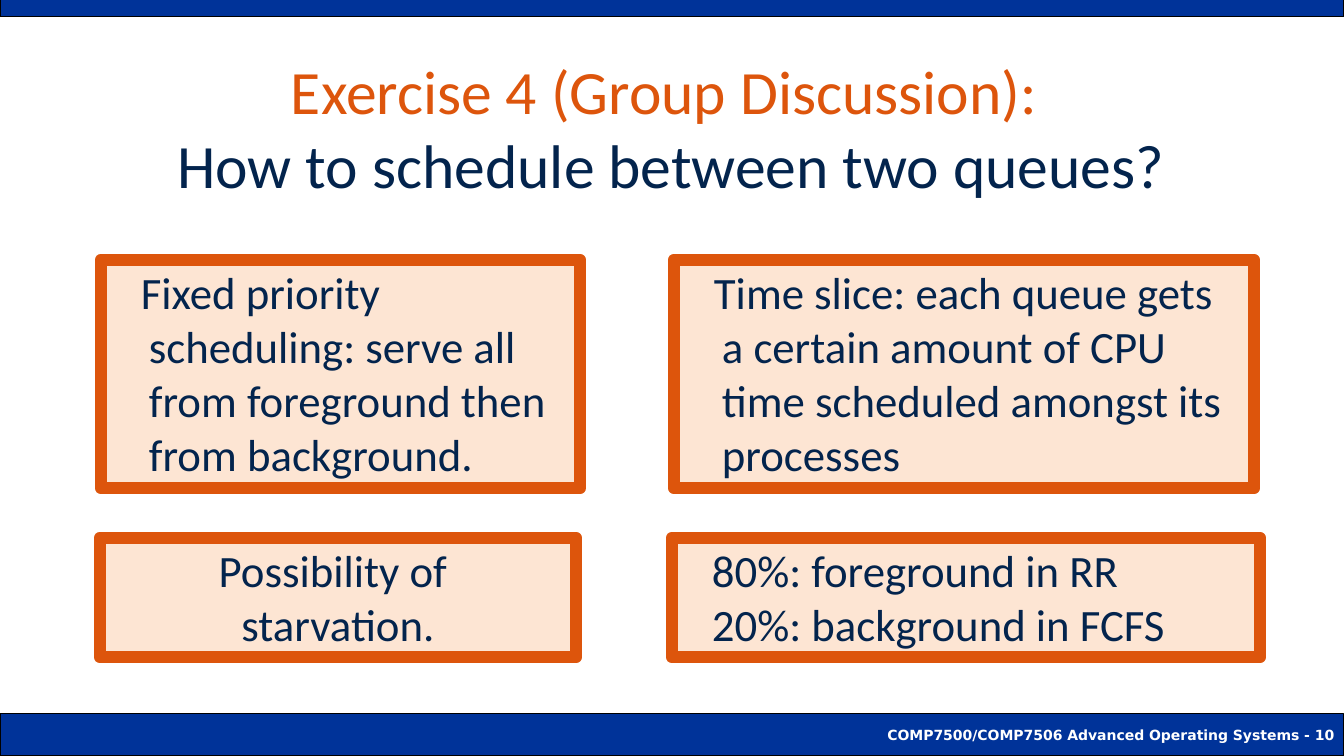
from pptx import Presentation
from pptx import util as u
from pptx.dml.color import RGBColor
from pptx.enum import shapes, text
from pptx.oxml.ns import qn
from lxml import etree

BLUE = RGBColor(0x00, 0x33, 0x99)
NAVY = RGBColor(0x03, 0x24, 0x4D)
ORANGE = RGBColor(0xDD, 0x55, 0x0C)
TINT = RGBColor(0xF6, 0x80, 0x26)
BLACK = RGBColor(0x00, 0x00, 0x00)
WHITE = RGBColor(0xFF, 0xFF, 0xFF)

W, H = 1344, 756
EMU_PER_PX = 12192000 / W


def px(n):
    return u.Emu(round(n * EMU_PER_PX))


class Deck:
    font = "Calibri"
    footer_font = "DejaVu Sans"

    def __init__(self):
        self.prs = Presentation()
        self.prs.slide_width, self.prs.slide_height = px(W), px(H)
        self.s = self.prs.slides.add_slide(self.prs.slide_layouts[6])

    def style(self, p, size, color, name=None, bold=False):
        f = p.font
        f.name, f.size, f.bold = name or self.font, u.Pt(size), bold
        f.color.rgb = color

    def rect(self, x, y, w, h, fill, line, line_pt):
        sp = self.s.shapes.add_shape(
            shapes.MSO_SHAPE.RECTANGLE, px(x), px(y), px(w), px(h))
        sp.shadow.inherit = False
        sp.fill.solid()
        sp.fill.fore_color.rgb = fill
        sp.line.color.rgb = line
        sp.line.width = u.Pt(line_pt)
        return sp

    def bar(self, y, h, label=None):
        sp = self.rect(0, y, W, h, BLUE, BLACK, 0.75)
        if label:
            tf = sp.text_frame
            tf.word_wrap = False
            tf.vertical_anchor = text.MSO_ANCHOR.MIDDLE
            p = tf.paragraphs[0]
            p.text = label
            p.alignment = text.PP_ALIGN.RIGHT
            self.style(p, 10, WHITE, self.footer_font, True)

    def title(self, x, y, w, h, lines):
        tf = self.s.shapes.add_textbox(px(x), px(y), px(w), px(h)).text_frame
        tf.word_wrap = True
        tf.vertical_anchor = text.MSO_ANCHOR.MIDDLE
        p = tf.paragraphs[0]
        p.alignment = text.PP_ALIGN.CENTER
        self.style(p, 44, NAVY)
        for i, (line, color) in enumerate(lines):
            if i:
                p.add_line_break()
            r = p.add_run()
            r.text = line
            r.font.color.rgb = color

    def box(self, x, y, w, h, lines, indent=-8, align=text.PP_ALIGN.LEFT):
        sp = self.rect(x, y, w, h, TINT, ORANGE, 9)
        # Fill at 20% opacity
        clr = sp.fill._xPr.find(qn("a:solidFill"))[0]
        etree.SubElement(clr, qn("a:alpha")).set("val", "20000")
        tf = sp.text_frame
        tf.word_wrap = True
        tf.auto_size = text.MSO_AUTO_SIZE.SHAPE_TO_FIT_TEXT
        tf.vertical_anchor = text.MSO_ANCHOR.TOP
        for i, line in enumerate(lines):
            p = tf.add_paragraph() if i else tf.paragraphs[0]
            p.text = line
            p.alignment = align
            pPr = p._p.get_or_add_pPr()
            pPr.set("marL", str(px(38)))
            pPr.set("indent", str(px(indent)))
            self.style(p, 32, NAVY)


def main():
    d = Deck()

    # Footer and top bars
    d.bar(714, 42, "COMP7500/COMP7506 Advanced Operating Systems - 10")
    d.bar(0, 17)

    # Title
    d.title(25, 44, 1293, 165, [
        ("Exercise 4 (Group Discussion): ", ORANGE),
        ("How to schedule between two queues?", NAVY)])

    # Fixed priority and its drawback
    d.box(101, 260, 479, 228, [
        "Fixed priority scheduling: serve all from foreground then "
        "from background."])
    d.box(100, 538, 476, 119, ["Possibility of ", "starvation."],
          indent=-38, align=text.PP_ALIGN.CENTER)

    # Time slice and its shares
    d.box(674, 260, 580, 228, [
        "Time slice: each queue gets a certain amount of CPU time "
        "scheduled amongst its processes"])
    d.box(672, 538, 588, 119, [
        "80%: foreground in RR", "20%: background in FCFS"])

    d.prs.save("out.pptx")


if __name__ == "__main__":
    main()
